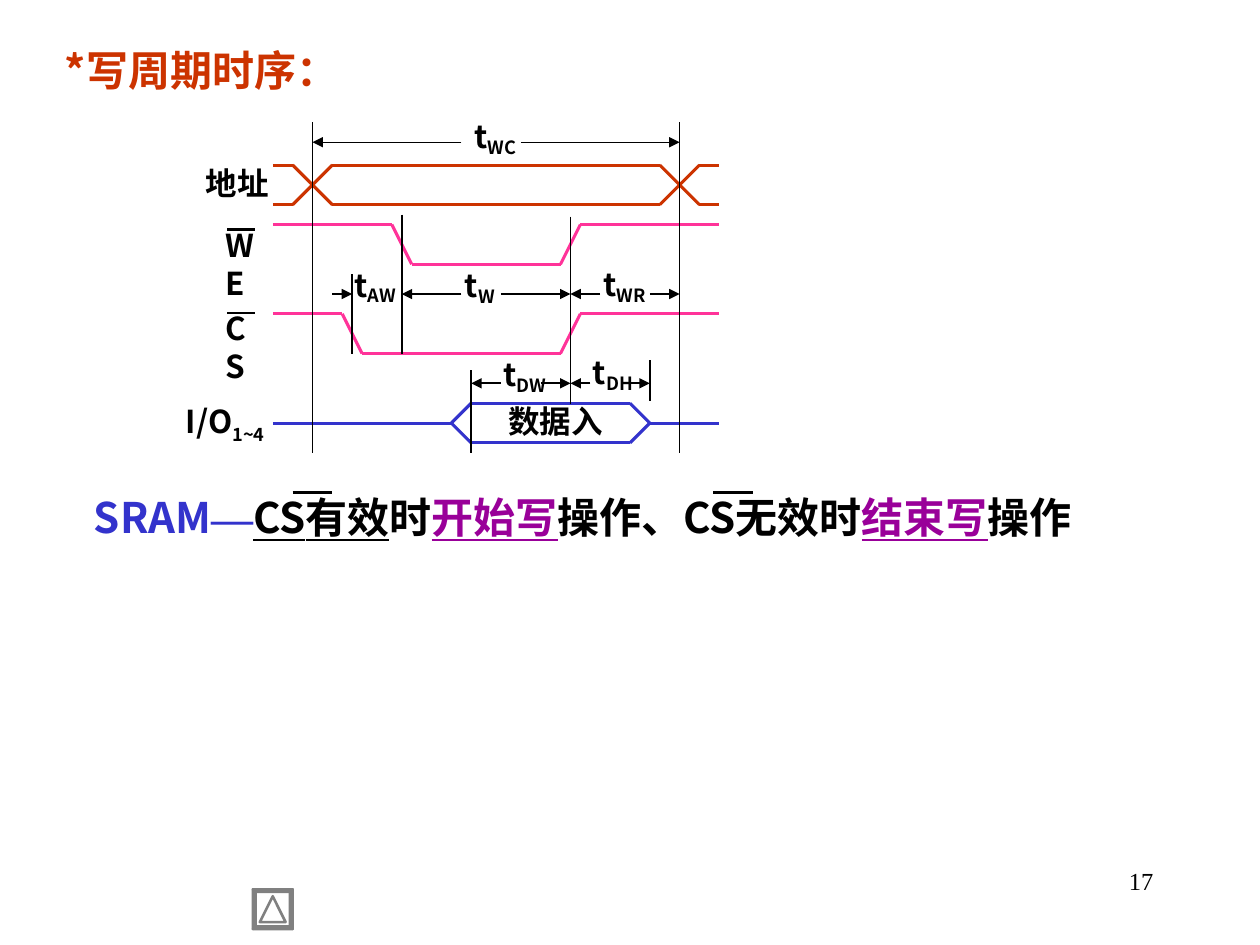
"""Builds the slide on the write cycle timing of static memory."""
from dataclasses import dataclass

from lxml import etree
from pptx import Presentation
from pptx.dml.color import RGBColor
from pptx.enum.shapes import MSO_CONNECTOR
from pptx.enum.text import MSO_ANCHOR, PP_ALIGN
from pptx.oxml.ns import qn
from pptx.util import Inches, Pt

LINE = MSO_CONNECTOR.STRAIGHT
TOP, MIDDLE = MSO_ANCHOR.TOP, MSO_ANCHOR.MIDDLE
LEFT, MID, RIGHT = PP_ALIGN.LEFT, PP_ALIGN.CENTER, PP_ALIGN.RIGHT


@dataclass(frozen=True)
class Theme:
    ink: str = "000000"
    red: str = "CC3300"
    pink: str = "FF3399"
    blue: str = "3333CC"
    plum: str = "990099"
    gray: str = "808080"
    sans: str = "Noto Sans CJK SC"
    serif: str = "Times New Roman"
    head: int = 24
    label: int = 18
    small: int = 14
    wave: float = 1.75
    rule: float = 1
    left: float = 2.165
    top: float = 1.31
    step: float = 0.63 / 4


@dataclass(frozen=True)
class Run:
    text: str
    ink: str = Theme.ink
    font: str = Theme.sans
    bold: bool = True
    under: bool = False
    base: int = 0


class Sheet:
    def __init__(self, theme, slide):
        self.theme, self.slide = theme, slide

    def spot(self, col, row):
        t = self.theme
        return Inches(t.left + col * t.step), Inches(t.top + row * t.step)

    def text(self, box, runs, size, pad=(0.02, 0.01), align=LEFT,
             anchor=TOP, space=1.0, indent=0):
        col, row, wide, high = box
        step = self.theme.step
        shape = self.slide.shapes.add_textbox(
            *self.spot(col, row), Inches(wide * step), Inches(high * step))
        frame = shape.text_frame
        frame.word_wrap = True
        frame.vertical_anchor = anchor
        frame.margin_left = frame.margin_right = Inches(pad[0])
        frame.margin_top = frame.margin_bottom = Inches(pad[1])
        para = frame.paragraphs[0]
        para.alignment, para.line_spacing = align, space
        para._p.get_or_add_pPr().set("marL", str(Inches(indent)))
        for item in runs:
            self.run(para, item, size)

    def run(self, para, item, size):
        run = para.add_run()
        run.text = item.text
        font = run.font
        font.size, font.name = Pt(size), item.font
        font.bold, font.underline = item.bold, item.under
        font.color.rgb = RGBColor.from_string(item.ink)
        props = font._element
        etree.SubElement(props, qn("a:ea")).set("typeface", item.font)
        if item.base:
            props.set("baseline", str(item.base * 1000))

    def line(self, start, end, ink=Theme.ink, width=Theme.rule, arrow=False):
        link = self.slide.shapes.add_connector(
            LINE, *self.spot(*start), *self.spot(*end))
        link.line.color.rgb = RGBColor.from_string(ink)
        link.line.width = Pt(width)
        if arrow:
            tail = etree.SubElement(link.line._get_or_add_ln(), qn("a:tailEnd"))
            tail.set("type", "triangle")
        etree.SubElement(link._element.spPr, qn("a:effectLst"))

    def wave(self, ink, *dots):
        for start, end in zip(dots, dots[1:]):
            self.line(start, end, ink, self.theme.wave)

    def span(self, row, *pairs, width=Theme.rule):
        for start, end in pairs:
            self.line((start, row), (end, row), width=width, arrow=True)

    def icon(self, loops, ink, width):
        first, *rest = [[self.spot(*dot) for dot in loop] for loop in loops]
        pen = self.slide.shapes.build_freeform(*first[0], scale=1.0)
        pen.add_line_segments(first[1:], close=True)
        for loop in rest:
            pen.move_to(*loop[0])
            pen.add_line_segments(loop[1:], close=True)
        shape = pen.convert_to_shape()
        shape.shadow.inherit = False
        shape.fill.background()
        shape.line.color.rgb = RGBColor.from_string(ink)
        shape.line.width = Pt(width)


def draw_waves(page, theme):
    red, pink, blue = theme.red, theme.pink, theme.blue
    for near, far in ((0, 2), (2, 0)):
        page.wave(red, (0, near), (1, near), (2, 1), (3, far), (19.5, far),
                  (20.5, 1), (21.5, near), (22.5, near))
    for high, fall in ((3, 6), (7.5, 3.5)):
        low = high + 2
        page.wave(pink, (0, high), (fall, high), (fall + 1, low),
                  (14.5, low), (15.5, high), (22.5, high))
    page.wave(blue, (0, 13), (9, 13))
    page.wave(blue, (19, 13), (22.5, 13))
    for edge in (12, 14):
        page.wave(blue, (9, 13), (10, edge), (18, edge), (19, 13))


def draw_times(page, theme):
    for col, start, end in ((2, -2.15, 14.5), (20.5, -2.15, 14.5),
                            (15, 2.6, 12.05), (10, 10.35, 14.5),
                            (19, 9.85, 11.9), (6.5, 2.5, 9.5), (4, 5.5, 9.5)):
        page.line((col, start), (col, end))
    page.span(-1.15, (12.5, 20.5), (9.5, 2), width=0.75)
    page.span(6.5, (3, 4), (9.5, 6.5), (11.5, 15), (16.5, 15), (19, 20.5))
    page.span(11, (11.5, 10), (13.5, 15), (16, 15), (18, 19))
    for sub, box, space in (("WC", (10.05, -2.1, 2.5, 1.45), 0.9),
                            ("AW", (4, 5.5, 2.5, 1.35), 0.8),
                            ("W", (9.55, 5.45, 2, 1.5), 0.8),
                            ("WR", (16.55, 5.45, 2.5, 1.35), 0.8),
                            ("DW", (11.5, 9.85, 2.5, 1.5), 1.0),
                            ("DH", (16, 9.85, 2.5, 1.35), 1.0)):
        page.text(box, [Run("t"), Run(sub, base=-18)], theme.label,
                  anchor=MIDDLE, space=space)


def draw_names(page, theme):
    page.text((-3.5, -0.1, 3.5, 2), [Run("地址")], theme.label)
    for name, row in (("WE", 3), ("CS", 7.2)):
        page.text((-2.5, row, 2, 4), [Run(name)], theme.label)
        page.line((-2.3, row + 0.25), (-0.9, row + 0.25), width=1.25)
    page.text((-4.5, 11.9, 4.5, 2), [Run("I/O"), Run("1~4", base=-25)],
              theme.label)
    page.text((11.5, 11.9, 5.5, 2), [Run("数据入")], theme.label, align=MID)


def draw_prose(page, theme):
    pad = (0.1, 0.05)
    page.text((-12.5, -7, 61, 3.8), [Run("*写周期时序：", theme.red)],
              theme.head, pad, space=1.25, indent=0.22)
    page.text((-12.5, 15.5, 61, 3.8), [
        Run("SRAM", theme.blue), Run("—", theme.blue, theme.serif),
        Run("CS有效", under=True), Run("时"),
        Run("开始写", theme.plum, under=True), Run("操作、CS无效时"),
        Run("结束写", theme.plum, under=True), Run("操作"),
    ], theme.head, pad, space=1.25, indent=0.45)
    for col in (1, 22.2):
        page.line((col, 16.5), (col + 2, 16.5), width=1.5)
    page.text((31.8, 35, 13.2, 3.2),
              [Run("17", font=theme.serif, bold=False)],
              theme.small, pad, RIGHT)


def draw_icon(page, theme):
    mid, signs = 37.5, ((-1, -1), (1, -1), (1, 1), (-1, 1))
    outer, inner = [[(x * half, mid + y * half) for x, y in signs]
                    for half in (1, 0.87)]
    sides = [(outer[i - 1], outer[i], inner[i], inner[i - 1])
             for i in range(4)]
    peak = ((0, 36.85), (0.65, 38.15), (-0.65, 38.15))
    page.icon([outer, *sides, peak], theme.gray, 1.5)


def main():
    deck = Presentation()
    deck.slide_width, deck.slide_height = Inches(10), Inches(7.5)
    theme = Theme()
    page = Sheet(theme, deck.slides.add_slide(deck.slide_layouts[6]))
    for draw in (draw_waves, draw_times, draw_names, draw_prose, draw_icon):
        draw(page, theme)
    deck.save("out.pptx")


if __name__ == "__main__":
    main()
